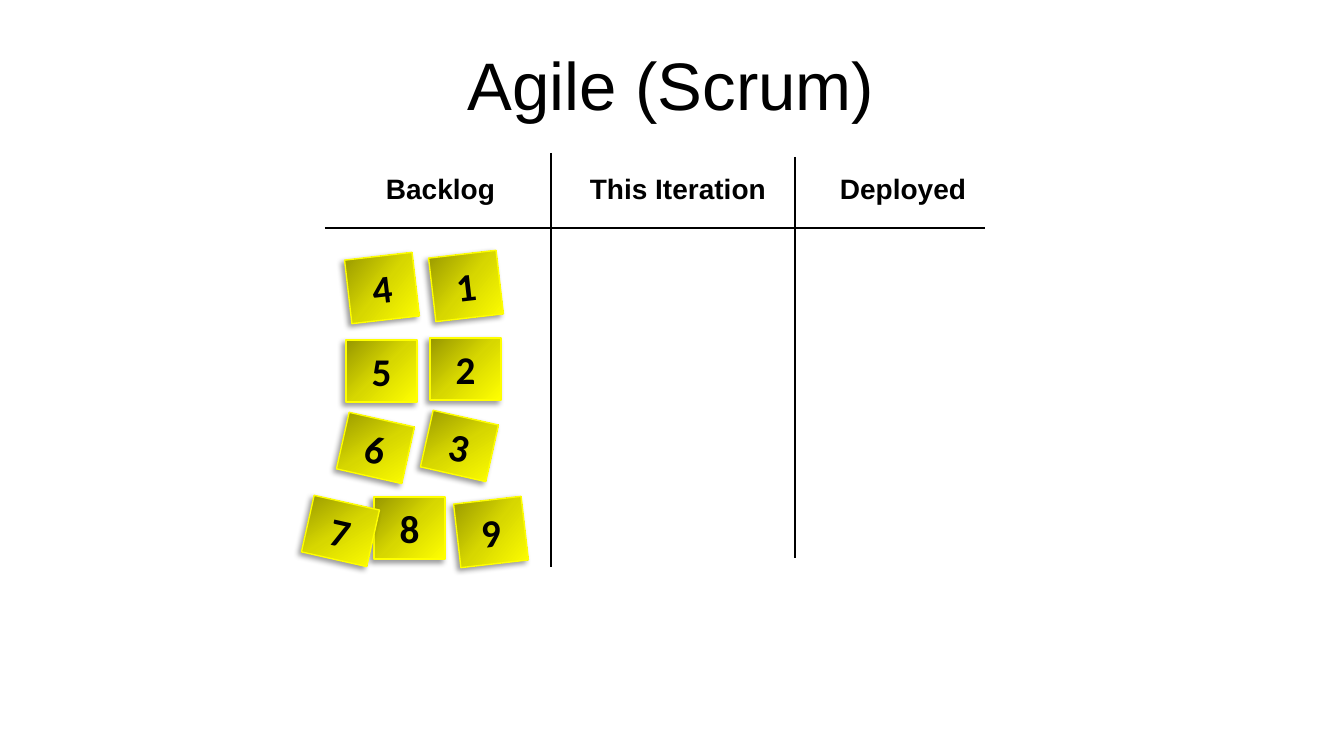
import pptx
import pptx.util
import pptx.dml.color
import pptx.enum.shapes
import pptx.enum.text
import pptx.oxml
import pptx.oxml.ns
from dataclasses import dataclass


@dataclass(frozen=True)
class Theme:
    ink: str = "000000"
    paper_edge: str = "FFFF00"
    paper_stops: tuple = ((0, "979700"), (50, "D7D700"), (100, "FFFF00"))
    heading_font: str = "Arial"
    note_font: str = "Calibri"
    title_size: int = 48
    column_size: int = 20
    note_size: int = 28
    rule_width: int = 2
    edge_width: int = 1


THEME = Theme()
PX = 914400 / 100.8
SLIDE_SIZE = (1344, 756)

TITLE = ("Agile (Scrum)", (167, 38, 1008, 92))
COLUMN_TOP, COLUMN_HEIGHT = 167, 44
COLUMNS = [("Backlog", 372, 137), ("This Iteration", 577, 202), ("Deployed", 821, 164)]
RULES = [(325, 228, 985, 228), (551, 153, 551, 567), (795, 157, 795, 558)]

NOTE_STYLES = {
    "left": (68, 64, 353.4),
    "straight": (71, 62, 0),
    "right": (67, 58, 12.7),
}
STACK = [("left", 432, 254), ("straight", 430, 338), ("right", 426, 417)]
ROW = [("left", 457, 500), ("straight", 374, 497), ("right", 307, 502)]
NOTE_GROUPS = [
    ("123", STACK, (0, 0)),
    ("456", STACK, (-84, 2)),
    ("987", ROW, (0, 0)),
]


def px(*lengths):
    return [round(length * PX) for length in lengths]


def rgb(color):
    return pptx.dml.color.RGBColor.from_string(color)


def drawing(body):
    tag, rest = body.split(">", 1)
    return pptx.oxml.parse_xml(f"{tag} {pptx.oxml.ns.nsdecls('a')}>{rest}")


def write(frame, text, font_name, size, bold):
    frame.word_wrap = True
    line = frame.paragraphs[0]
    line.text = text
    line.alignment = pptx.enum.text.PP_ALIGN.CENTER
    line.font.name = font_name
    line.font.size = pptx.util.Pt(size)
    line.font.bold = bold
    line.font.color.rgb = rgb(THEME.ink)


def add_heading(slide, text, box, size, bold):
    heading = slide.shapes.add_textbox(*px(*box))
    write(heading.text_frame, text, THEME.heading_font, size, bold)
    heading.text_frame.auto_size = pptx.enum.text.MSO_AUTO_SIZE.SHAPE_TO_FIT_TEXT


def add_rule(slide, ends):
    rule = slide.shapes.add_connector(pptx.enum.shapes.MSO_CONNECTOR.STRAIGHT, *px(*ends))
    rule.line.color.rgb = rgb(THEME.ink)
    rule.line.width = pptx.util.Pt(THEME.rule_width)
    rule._element.spPr.append(drawing("<a:effectLst></a:effectLst>"))


def paint_paper(note):
    note.line.color.rgb = rgb(THEME.paper_edge)
    note.line.width = pptx.util.Pt(THEME.edge_width)
    stops = "".join(
        f'<a:gs pos="{pos * 1000}"><a:srgbClr val="{color}"/></a:gs>'
        for pos, color in THEME.paper_stops
    )
    properties = note._element.spPr
    properties.find(pptx.oxml.ns.qn("a:ln")).addprevious(drawing(
        f'<a:gradFill rotWithShape="1"><a:gsLst>{stops}</a:gsLst>'
        '<a:lin ang="2700000" scaled="0"/></a:gradFill>'
    ))
    properties.append(drawing(
        '<a:effectLst><a:outerShdw blurRad="50800" dist="38100" dir="8100000" '
        f'algn="tr" rotWithShape="0"><a:srgbClr val="{THEME.ink}">'
        '<a:alpha val="40000"/></a:srgbClr></a:outerShdw></a:effectLst>'
    ))


def add_note(group, number, style, left, top):
    width, height, tilt = NOTE_STYLES[style]
    note = group.shapes.add_shape(
        pptx.enum.shapes.MSO_SHAPE.RECTANGLE, *px(left, top, width, height)
    )
    note.rotation = tilt
    paint_paper(note)
    write(note.text_frame, number, THEME.note_font, THEME.note_size, True)
    note.text_frame.vertical_anchor = pptx.enum.text.MSO_ANCHOR.MIDDLE


def main():
    deck = pptx.Presentation()
    deck.slide_width, deck.slide_height = px(*SLIDE_SIZE)
    slide = deck.slides.add_slide(deck.slide_layouts[6])
    for ends in RULES:
        add_rule(slide, ends)
    for name, left, width in COLUMNS:
        box = (left, COLUMN_TOP, width, COLUMN_HEIGHT)
        add_heading(slide, name, box, THEME.column_size, True)
    for numbers, places, (dx, dy) in NOTE_GROUPS:
        group = slide.shapes.add_group_shape()
        for number, (style, left, top) in zip(numbers, places):
            add_note(group, number, style, left + dx, top + dy)
    title, title_box = TITLE
    add_heading(slide, title, title_box, THEME.title_size, False)
    deck.save("out.pptx")


if __name__ == "__main__":
    main()
